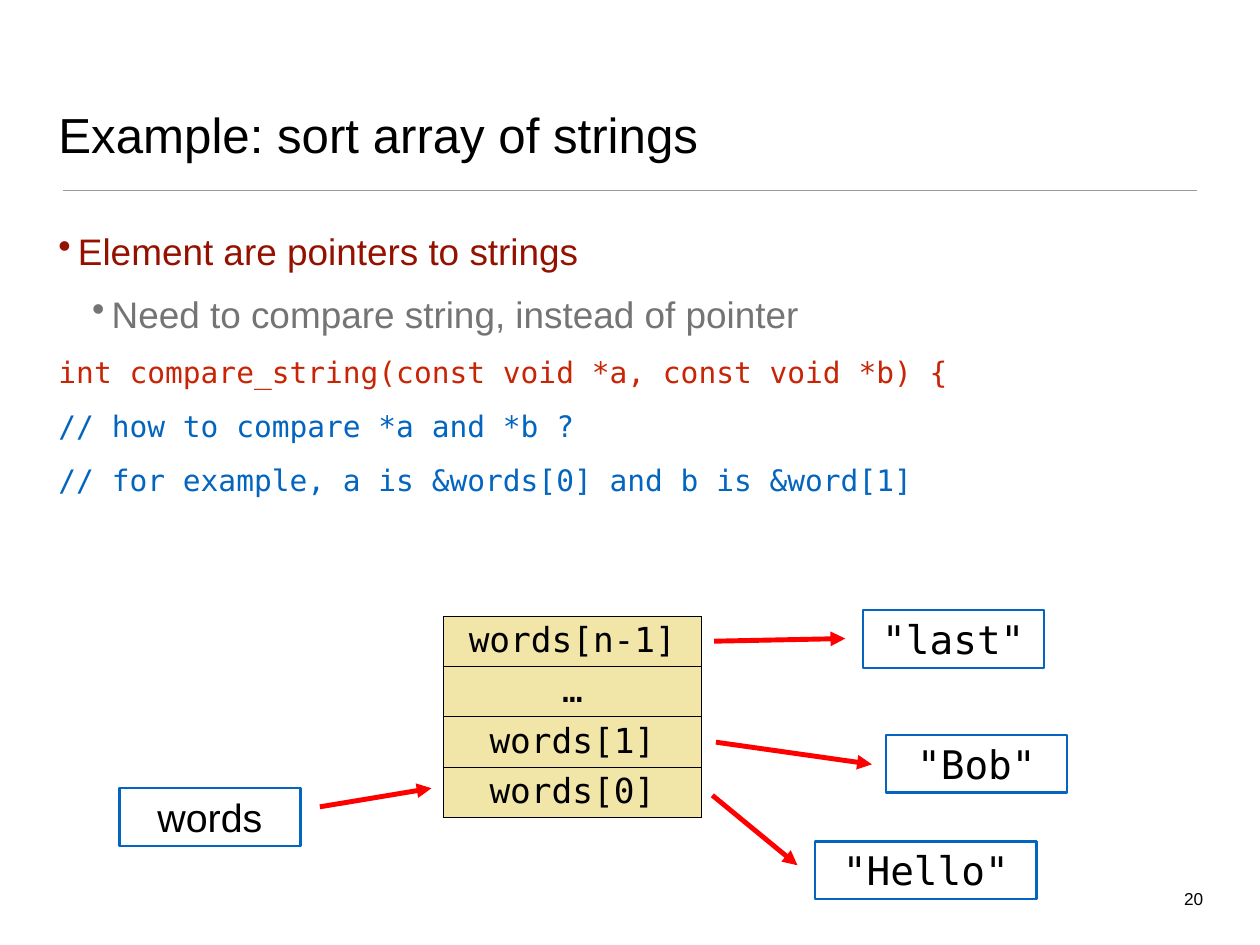
from pptx import Presentation
from pptx.dml.color import RGBColor
from pptx.enum import shapes, text
from pptx.oxml import parse_xml
from pptx.oxml.ns import nsdecls
from pptx.util import Inches, Pt

BLACK = RGBColor(0x00, 0x00, 0x00)
GREY = RGBColor(0x74, 0x74, 0x74)
RULE = RGBColor(0x9A, 0x9A, 0x9A)
MAROON = RGBColor(0x94, 0x11, 0x00)
BRICK = RGBColor(0xC8, 0x25, 0x06)
BLUE = RGBColor(0x03, 0x65, 0xC0)
RED = RGBColor(0xFF, 0x00, 0x00)
SAND = RGBColor(0xF1, 0xE5, 0xA7)
SANS, MONO = "Arial", "DejaVu Sans Mono"


def write(tf, line, size=30, font=SANS, color=BLACK, align=text.PP_ALIGN.LEFT,
          before=0, bullet_at=None):
    """Write one paragraph, reusing the empty first one."""
    p = tf.paragraphs[-1]
    if p.runs:
        p = tf.add_paragraph()
    p.alignment = align
    p.space_before = Pt(before)
    if bullet_at is not None:
        pPr = p._p.get_or_add_pPr()
        pPr.set("marL", str(Inches(bullet_at)))
        pPr.set("indent", str(Inches(-0.22)))
        pPr.append(parse_xml(f'<a:buChar {nsdecls("a")} char="•"/>'))
    r = p.add_run()
    r.text = line
    r.font.size = Pt(size)
    r.font.name = font
    r.font.color.rgb = color


def frame(sp, inset, anchor, wrap=True):
    """Set insets, anchor and wrapping, and return the text frame."""
    tf = sp.text_frame
    tf.margin_left = tf.margin_right = tf.margin_top = tf.margin_bottom = Inches(inset)
    tf.vertical_anchor = anchor
    tf.word_wrap = wrap
    return tf


prs = Presentation()
prs.slide_width, prs.slide_height = Inches(14.22), Inches(10.67)
s = prs.slides.add_slide(prs.slide_layouts[6])
TOP, MIDDLE, BOTTOM = (text.MSO_ANCHOR.TOP, text.MSO_ANCHOR.MIDDLE,
                       text.MSO_ANCHOR.BOTTOM)
CENTER = text.PP_ALIGN.CENTER

# Title
sp = s.shapes.add_textbox(Inches(0.62), Inches(0.36), Inches(12.97), Inches(1.53))
write(frame(sp, 0.04, BOTTOM), "Example: sort array of strings", size=40)

# Bullets and code
sp = s.shapes.add_textbox(Inches(0.62), Inches(2.54), Inches(12.97), Inches(7.18))
tf = frame(sp, 0.04, TOP)
write(tf, "Element are pointers to strings", color=MAROON, before=15, bullet_at=0.22)
write(tf, "Need to compare string, instead of pointer", color=GREY, before=15,
      bullet_at=0.6)
for line, color in [
    ("int compare_string(const void *a, const void *b) {", BRICK),
    ("// how to compare *a and *b ?", BLUE),
    ("// for example, a is &words[0] and b is &word[1]", BLUE),
]:
    write(tf, line, size=24, font=MONO, color=color, before=15)

# Array of pointers
elements = ["words[n-1]", "…", "words[1]", "words[0]"]
row_height = 0.55
table = s.shapes.add_table(len(elements), 1, Inches(5), Inches(6.96), Inches(2.92),
                           Inches(row_height * len(elements))).table
table.first_row = table.horz_banding = False
for row, element in zip(table.rows, elements):
    row.height = Inches(row_height)
    cell = row.cells[0]
    tcPr = cell._tc.get_or_add_tcPr()
    for side in "LRTB":
        tcPr.append(parse_xml(
            f'<a:ln{side} {nsdecls("a")} w="{Pt(1)}"><a:solidFill>'
            f'<a:srgbClr val="{BLACK}"/></a:solidFill></a:ln{side}>'))
    cell.fill.solid()
    cell.fill.fore_color.rgb = SAND
    write(cell.text_frame, element, size=28, font=MONO, align=CENTER)

# Variable and string boxes
for label, font, left, top, width in [
    ("words", SANS, 1.35, 8.9, 2.04),
    ('"last"', MONO, 9.74, 6.89, 2.04),
    ('"Bob"', MONO, 10, 8.3, 2.04),
    ('"Hello"', MONO, 9.2, 9.5, 2.5),
]:
    sp = s.shapes.add_shape(shapes.MSO_SHAPE.RECTANGLE, Inches(left), Inches(top),
                            Inches(width), Inches(0.65))
    sp.shadow.inherit = False
    sp.fill.background()
    sp.line.color.rgb = BLUE
    sp.line.width = Pt(2)
    write(frame(sp, 0.06, MIDDLE), label, size=32, font=font, align=CENTER)

# Title rule and pointer arrows
for x1, y1, x2, y2, color, width, arrow in [
    (0.71, 2.15, 13.51, 2.15, RULE, 1, False),
    (3.61, 9.11, 4.87, 8.9, RED, 4, True),
    (8.06, 7.24, 9.54, 7.21, RED, 4, True),
    (8.08, 8.38, 9.84, 8.63, RED, 4, True),
    (8.04, 8.98, 9, 9.77, RED, 4, True),
]:
    line = s.shapes.add_connector(shapes.MSO_CONNECTOR.STRAIGHT, Inches(x1), Inches(y1),
                                  Inches(x2), Inches(y2))
    line.line.color.rgb = color
    line.line.width = Pt(width)
    if arrow:
        line.line._get_or_add_ln().append(
            parse_xml(f'<a:tailEnd {nsdecls("a")} type="triangle"/>'))
    line._element.spPr.append(parse_xml(f'<a:effectLst {nsdecls("a")}/>'))

# Slide number
sp = s.shapes.add_textbox(Inches(13.31), Inches(9.99), Inches(0.31), Inches(0.3))
write(frame(sp, 0.04, TOP, wrap=False), "20", size=14, align=text.PP_ALIGN.RIGHT)

prs.save("out.pptx")
